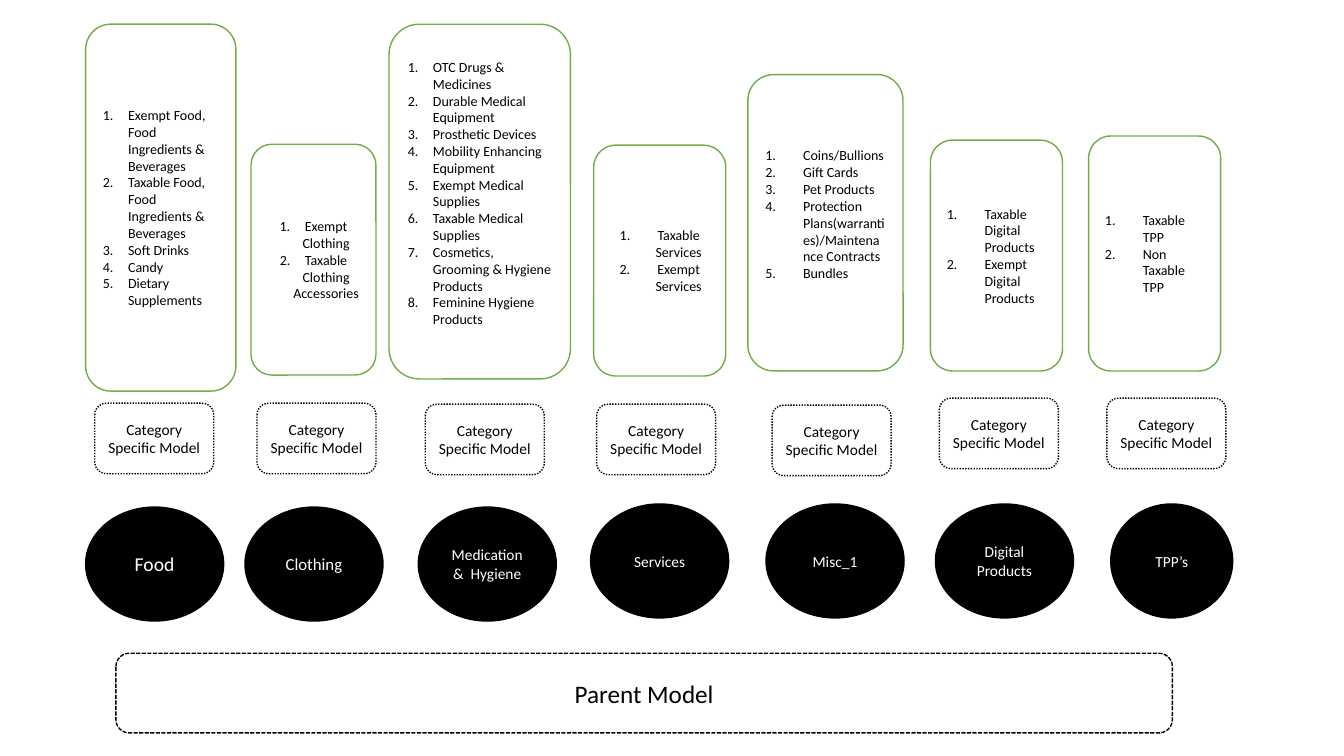
import pptx
import pptx.dml.color
import pptx.enum.dml
import pptx.enum.shapes
import pptx.enum.text
import pptx.util
from lxml import etree

Pt = pptx.util.Pt
KIND = pptx.enum.shapes.MSO_SHAPE
DASH = pptx.enum.dml.MSO_LINE
ALIGN = pptx.enum.text.PP_ALIGN
MID = pptx.enum.text.MSO_ANCHOR.MIDDLE

# Content: one entry per category, left to right
ITEMS = [
    ("Food", ["Exempt Food, Food Ingredients & Beverages",
              "Taxable Food, Food Ingredients & Beverages",
              "Soft Drinks", "Candy", "Dietary Supplements"]),
    ("Clothing", ["Exempt Clothing", "Taxable Clothing Accessories"]),
    ("Medication &  Hygiene", [
        "OTC Drugs & Medicines", "Durable Medical Equipment",
        "Prosthetic Devices", "Mobility Enhancing Equipment",
        "Exempt Medical Supplies", "Taxable Medical Supplies",
        "Cosmetics, Grooming & Hygiene Products",
        "Feminine Hygiene Products"]),
    ("Services", ["Taxable Services", "Exempt Services"]),
    ("Misc_1", ["Coins/Bullions", "Gift Cards", "Pet Products",
                "Protection Plans(warranties)/Maintenance Contracts",
                "Bundles"]),
    ("Digital Products", ["Taxable Digital Products",
                          "Exempt Digital Products"]),
    ("TPP’s", ["Taxable TPP", "Non Taxable TPP"]),
]
MODEL = "Category Specific Model"
PARENT = "Parent Model"

# Layout in points
# List boxes: left, top, width, height, indent, alignment, bottom inset
LISTS = [
    (61.2, 17.3, 108.5, 264.2, 18, ALIGN.LEFT, 3.6),
    (180.5, 103, 89.9, 165.6, 18, ALIGN.CENTER, 3.6),
    (277.9, 17.3, 129.6, 253.4, 18, ALIGN.LEFT, 15.8),
    (424.1, 103.7, 94.3, 164.9, 27, ALIGN.CENTER, 3.6),
    (534.2, 53.3, 110.9, 211.7, 27, ALIGN.LEFT, 15.8),
    (664.6, 100.1, 94.3, 164.9, 27, ALIGN.LEFT, 3.6),
    (777.6, 97.2, 94.3, 167.8, 27, ALIGN.LEFT, 3.6),
]
LISTS[0] = (61.2, 17.3, 107.3, 262.1) + LISTS[0][4:]
LISTS[1] = (179.3, 103, 89.3, 164.9) + LISTS[1][4:]
# Model boxes: left, top
MODELS = [(67.7, 288), (183.6, 288), (303.8, 288.7), (426.2, 288.7),
          (551.5, 289.4), (671, 284.4), (790.6, 284.4)]
# Ovals: left, top, width, text size
OVALS = [(61.2, 362.2, 98.6, 14), (175, 362.2, 98.6, 12),
         (298.8, 362.2, 98.6, 11), (421.9, 360, 98.6, 11),
         (547.2, 360, 98.6, 11), (668.2, 360, 98.6, 11),
         (793.4, 360, 87.1, 11)]

BLACK, WHITE, GREEN = "000000", "FFFFFF", "70AD47"


def color(code):
    return pptx.dml.color.RGBColor.from_string(code)


def apply(target, values):
    for name, value in values.items():
        setattr(target, name, value)


def number(para, indent):
    props = para._p.get_or_add_pPr()
    props.set("marL", str(Pt(indent)))
    props.set("indent", str(-Pt(indent)))
    tag = pptx.oxml.ns.qn("a:buAutoNum")
    etree.SubElement(props, tag, type="arabicPeriod")


def draw(kind, place, lines, size, ink=BLACK, fill=WHITE, edge=BLACK,
         dash=None, align=ALIGN.CENTER, indent=0, inset=3.6):
    shape = slide.shapes.add_shape(kind, *[Pt(n) for n in place])
    shape.shadow.inherit = False
    shape.fill.solid()
    shape.fill.fore_color.rgb = color(fill)
    shape.line.color.rgb = color(edge)
    apply(shape.line, {"width": Pt(1), "dash_style": dash})
    frame = shape.text_frame
    apply(frame, {"word_wrap": True, "vertical_anchor": MID,
                  "margin_bottom": Pt(inset)})
    for spot, line in enumerate(lines):
        para = frame.add_paragraph() if spot else frame.paragraphs[0]
        para.alignment = align
        if indent:
            number(para, indent)
        run = para.add_run()
        run.text = line
        apply(run.font, {"name": "Calibri", "size": Pt(size)})
        run.font.color.rgb = color(ink)


# Slide
deck = pptx.Presentation()
apply(deck, {"slide_width": Pt(960), "slide_height": Pt(540)})
slide = deck.slides.add_slide(deck.slide_layouts[6])

# Columns: list box, model box, oval
for (name, lines), box, model, oval in zip(ITEMS, LISTS, MODELS, OVALS):
    *place, indent, align, inset = box
    draw(KIND.ROUNDED_RECTANGLE, place, lines, 10, edge=GREEN,
         align=align, indent=indent, inset=inset)
    draw(KIND.ROUNDED_RECTANGLE, (*model, 85, 50.4), [MODEL], 11,
         dash=DASH.ROUND_DOT)
    *place, size = oval
    draw(KIND.OVAL, (*place, 81.4), [name], size, ink=WHITE, fill=BLACK)

# Parent bar
draw(KIND.ROUNDED_RECTANGLE, (82.8, 466.6, 754.6, 56.9), [PARENT], 18,
     dash=DASH.SQUARE_DOT)

deck.save("out.pptx")
